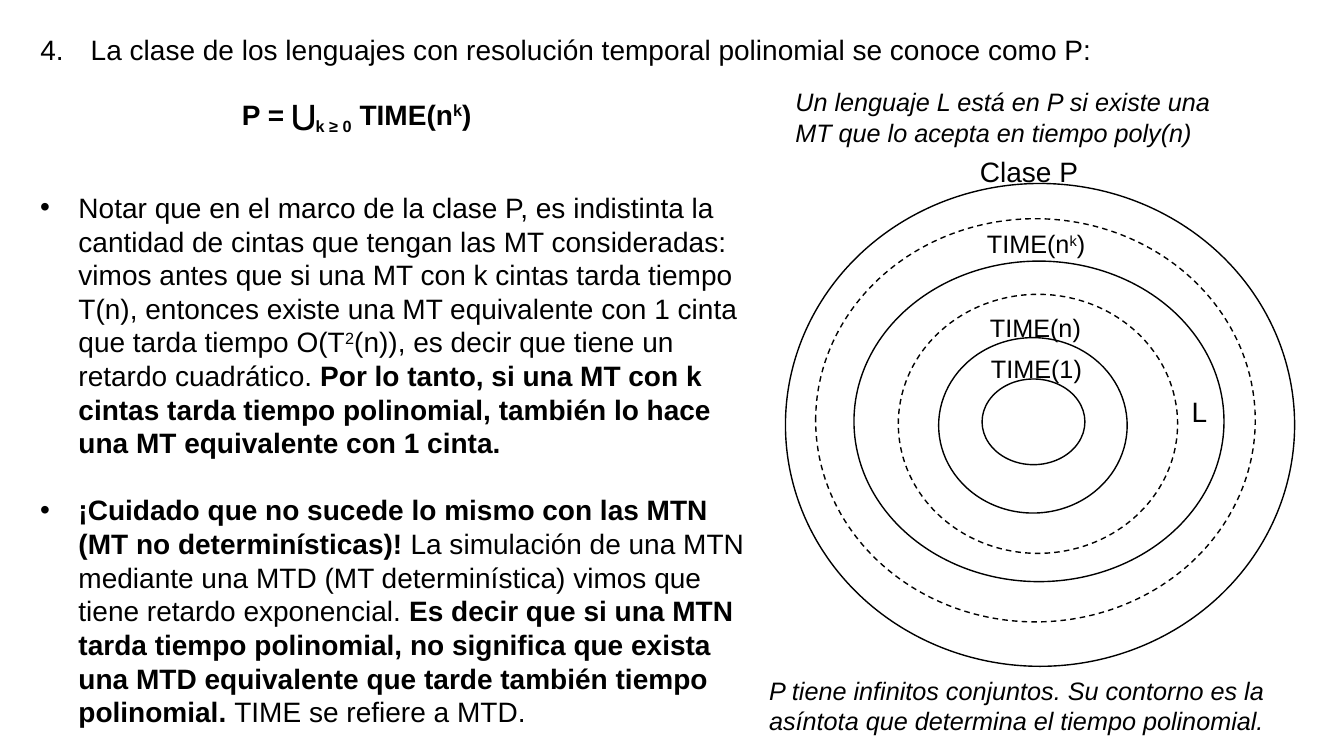
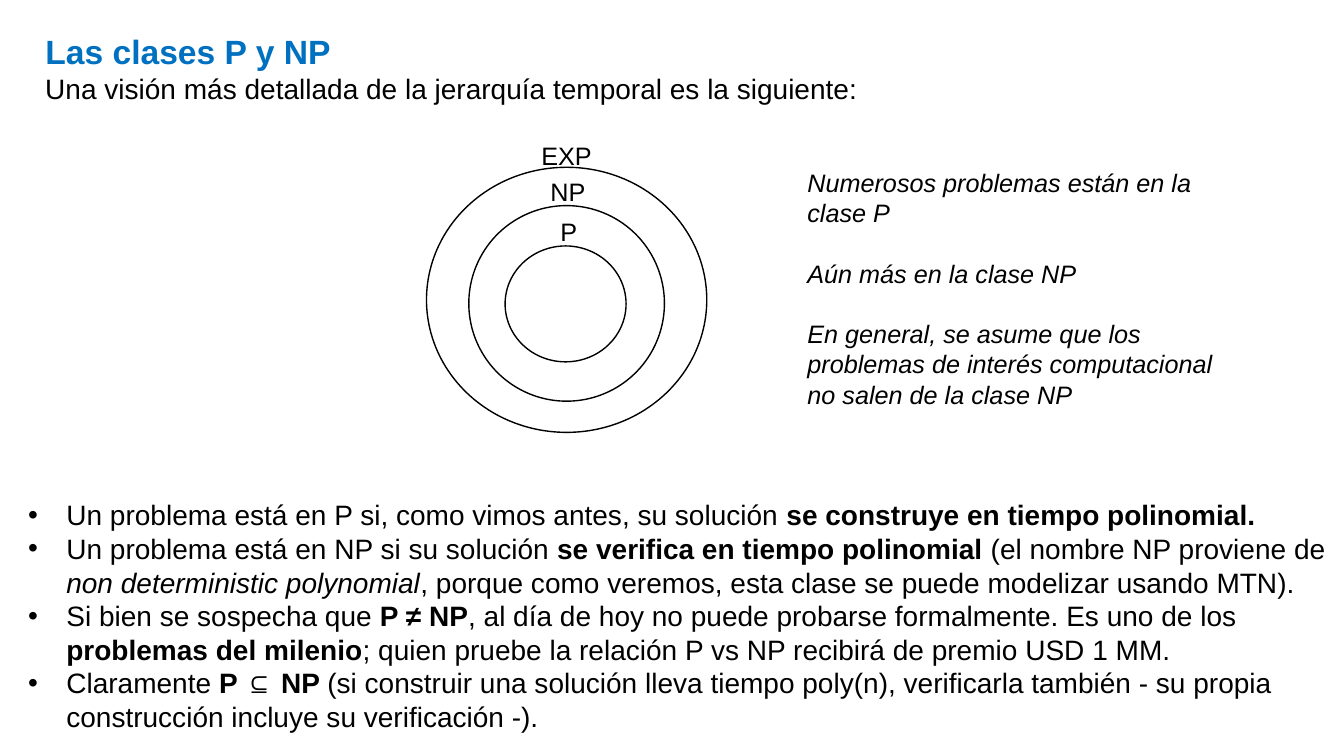
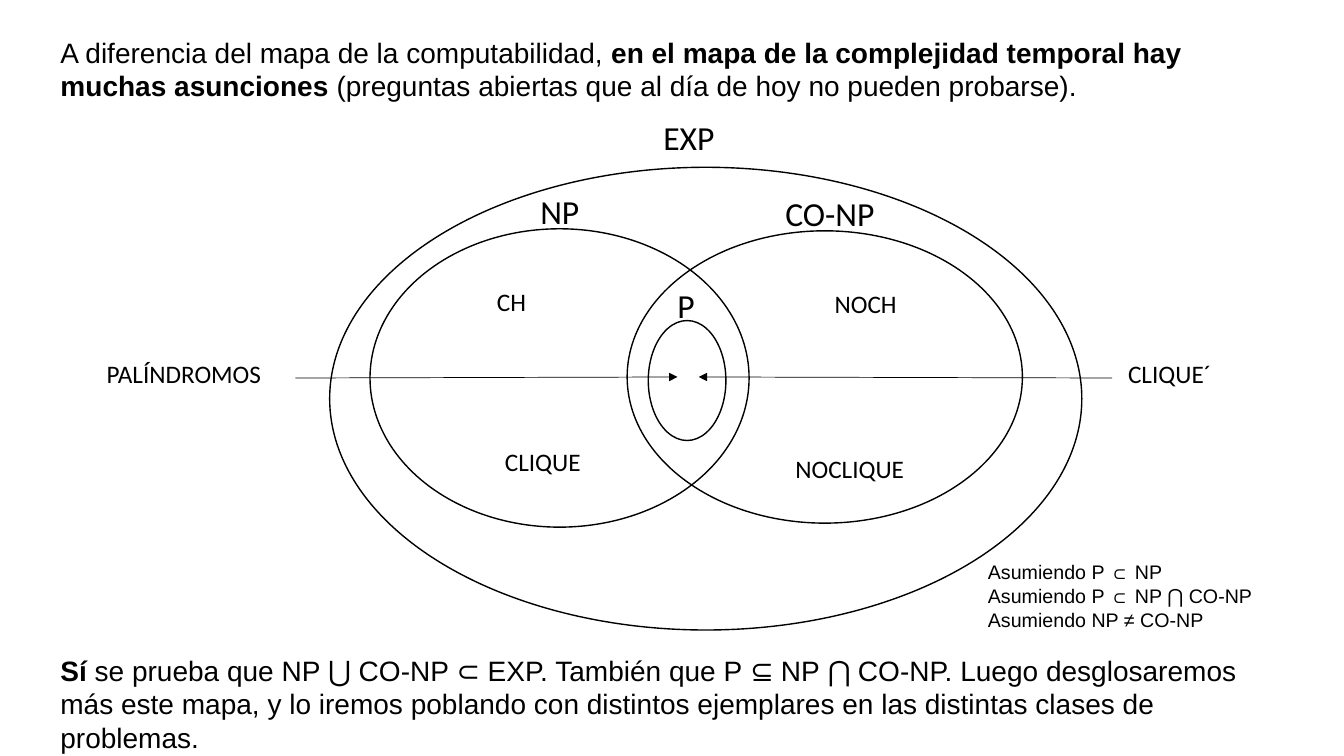
from dataclasses import dataclass, field
from typing import Any, NamedTuple

from lxml import etree
from pptx import Presentation
from pptx.dml.color import RGBColor
from pptx.enum.dml import MSO_LINE
from pptx.enum.shapes import MSO_CONNECTOR, MSO_SHAPE
from pptx.enum.text import MSO_ANCHOR, MSO_AUTO_SIZE, PP_ALIGN
from pptx.oxml.ns import qn
from pptx.util import Inches, Pt

RING = MSO_SHAPE.FLOWCHART_CONNECTOR
STRAIGHT = MSO_CONNECTOR.STRAIGHT
DASH = MSO_LINE.DASH
TOP = MSO_ANCHOR.TOP
LEFT = PP_ALIGN.LEFT
FIXED = MSO_AUTO_SIZE.NONE
GROW = MSO_AUTO_SIZE.SHAPE_TO_FIT_TEXT
TITLE_ONLY = 5


@dataclass(frozen=True)
class Theme:
    ink: RGBColor = RGBColor(0, 0, 0)
    blue: RGBColor = RGBColor(0x00, 0x70, 0xC0)
    sans: str = "Arial"
    label: str = "Calibri"
    head: int = 24
    body: int = 20
    note: int = 18
    small: int = 14
    leading: float = 1.2


THEME = Theme()


class Box(NamedTuple):
    left: float
    top: float
    width: float
    height: float


class Run(NamedTuple):
    text: str
    form: dict[str, bool] = {}
    base: int = 0


class Mark(NamedTuple):
    tag: str
    attrs: dict[str, str]
    indent: float


Para = list[Run]


@dataclass(frozen=True)
class Text:
    box: Box
    paras: list[Para]
    size: int = THEME.body
    font: str = THEME.sans
    color: RGBColor = THEME.ink
    form: dict[str, bool] = field(default_factory=dict)
    mark: Mark | None = None
    gap: float = 0
    wrap: bool = True


@dataclass(frozen=True)
class Ring:
    box: Box
    dash: bool = False


class Arrow(NamedTuple):
    start: tuple[float, float]
    end: tuple[float, float]


@dataclass(frozen=True)
class Page:
    title: Text
    texts: list[Text]
    rings: list[Ring]
    arrows: list[Arrow] = field(default_factory=list)


BULLET = Mark("a:buChar", {"char": "•"}, 0.38)
FOURTH = Mark("a:buAutoNum", {"type": "arabicPeriod", "startAt": "4"}, 0.5)
BOLD = {"bold": True}
SLANT = {"italic": True}


def apply(target: Any, values: dict[str, Any]) -> None:
    for name, value in values.items():
        setattr(target, name, value)


def place(shape: Any, box: Box) -> None:
    apply(shape, {name: Inches(size) for name, size in box._asdict().items()})


def add_mark(para: Any, mark: Mark) -> None:
    props = para._p.get_or_add_pPr()
    props.set("marL", str(Inches(mark.indent)))
    props.set("indent", str(-Inches(mark.indent)))
    etree.SubElement(props, qn("a:buFont")).set("typeface", THEME.sans)
    node = etree.SubElement(props, qn(mark.tag))
    for name, value in mark.attrs.items():
        node.set(name, value)


def write(shape: Any, text: Text, fit: Any) -> None:
    place(shape, text.box)
    frame = shape.text_frame
    apply(frame, {
        "word_wrap": text.wrap, "auto_size": fit, "vertical_anchor": TOP,
    })
    for index, runs in enumerate(text.paras):
        para = frame.add_paragraph() if index else frame.paragraphs[0]
        para.alignment = LEFT
        if text.font == THEME.sans:
            para.line_spacing = Pt(text.size * THEME.leading)
        para.space_before = Pt(text.gap if index else 0)
        if text.mark:
            add_mark(para, text.mark)
        for part in runs:
            run = para.add_run()
            run.text = part.text
            look = {"name": text.font, "size": Pt(text.size), "bold": False}
            apply(run.font, look | text.form | part.form)
            run.font.color.rgb = text.color
            if part.base:
                run._r.get_or_add_rPr().set("baseline", str(part.base * 1000))


def add_text(slide: Any, text: Text) -> None:
    shape = slide.shapes.add_textbox(*map(Inches, text.box))
    write(shape, text, GROW)


def add_ring(slide: Any, ring: Ring) -> None:
    shape = slide.shapes.add_shape(RING, *map(Inches, ring.box))
    shape.shadow.inherit = False
    shape.fill.background()
    shape.line.color.rgb = THEME.ink
    shape.line.width = Pt(1)
    if ring.dash:
        shape.line.dash_style = DASH


def add_arrow(slide: Any, arrow: Arrow) -> None:
    ends = map(Inches, arrow.start + arrow.end)
    link = slide.shapes.add_connector(STRAIGHT, *ends)
    link.line.color.rgb = THEME.ink
    link.line.width = Pt(0.5)
    tip = etree.SubElement(link.line._get_or_add_ln(), qn("a:tailEnd"))
    tip.set("type", "triangle")
    etree.SubElement(link._element.spPr, qn("a:effectLst"))


def add_page(deck: Any, page: Page) -> None:
    slide = deck.slides.add_slide(deck.slide_layouts[TITLE_ONLY])
    write(slide.shapes.title, page.title, FIXED)
    for text in page.texts:
        add_text(slide, text)
    for ring in page.rings:
        add_ring(slide, ring)
    for arrow in page.arrows:
        add_arrow(slide, arrow)


def label(
    box: Box, *runs: Run, size: int = THEME.note, font: str = THEME.sans
) -> Text:
    return Text(box, [list(runs)], size, font, wrap=False)


def tag(box: Box, word: str, size: int = THEME.note) -> Text:
    return label(box, Run(word), size=size, font=THEME.label)


def note(box: Box, *lines: str, gap: float = 0) -> Text:
    paras = [[Run(line)] for line in lines]
    return Text(box, paras, THEME.note, form=SLANT, gap=gap)


CLASS_P = Page(
    Text(
        Box(0.3, 0.27, 12.54, 0.44),
        [[Run("La clase de los lenguajes con resolución temporal polinomial "
              "se conoce como P:")]],
        mark=FOURTH,
    ),
    [
        Text(
            Box(2.3, 0.96, 4, 0.44),
            [[Run("P = ⋃"), Run("k ≥ 0", base=-25), Run(" TIME(n"),
              Run("k", base=30), Run(")")]],
            form=BOLD,
        ),
        Text(
            Box(0.3, 1.84, 7.23, 5.49),
            [
                [
                    Run("Notar que en el marco de la clase P, es indistinta la "
                        "cantidad de cintas que tengan las MT consideradas: "
                        "vimos antes que si una MT con k cintas tarda tiempo "
                        "T(n), entonces existe una MT equivalente con 1 cinta "
                        "que tarda tiempo O(T"),
                    Run("2", base=30),
                    Run("(n)), es decir que tiene un retardo cuadrático. "),
                    Run("Por lo tanto, si una MT con k cintas tarda tiempo "
                        "polinomial, también lo hace una MT equivalente con "
                        "1 cinta.", BOLD),
                ],
                [
                    Run("¡Cuidado que no sucede lo mismo con las MTN (MT no "
                        "determinísticas)! ", BOLD),
                    Run("La simulación de una MTN mediante una MTD (MT "
                        "determinística) vimos que tiene retardo "
                        "exponencial. "),
                    Run("Es decir que si una MTN tarda tiempo polinomial, no "
                        "significa que exista una MTD equivalente que tarde "
                        "también tiempo polinomial. ", BOLD),
                    Run("TIME se refiere a MTD."),
                ],
            ],
            mark=BULLET,
            gap=THEME.body * THEME.leading,
        ),
        label(Box(9.73, 3.46, 1.11, 0.4), Run("TIME(1)")),
        label(Box(9.72, 3.05, 1.11, 0.4), Run("TIME(n)")),
        label(Box(9.69, 2.22, 1.2, 0.4),
              Run("TIME(n"), Run("k", base=30), Run(")")),
        label(Box(9.62, 1.48, 1.22, 0.44), Run("Clase P"), size=THEME.body),
        label(Box(11.72, 3.86, 0.36, 0.44), Run("L"), size=THEME.body),
        note(Box(7.53, 6.65, 5.22, 0.71),
             "P tiene infinitos conjuntos. Su contorno es la asíntota que "
             "determina el tiempo polinomial."),
        note(Box(7.79, 0.81, 4.36, 0.71),
             "Un lenguaje L está en P si existe una",
             "MT que lo acepta en tiempo poly(n)"),
    ],
    [
        Ring(Box(7.79, 1.82, 5.05, 4.79)),
        Ring(Box(8.09, 2.17, 4.36, 4), dash=True),
        Ring(Box(8.47, 2.59, 3.67, 3.18)),
        Ring(Box(8.91, 2.92, 2.77, 2.57), dash=True),
        Ring(Box(9.31, 3.35, 1.87, 1.74)),
        Ring(Box(9.74, 3.76, 1.02, 0.85)),
    ],
)

P_AND_NP = Page(
    Text(Box(0.35, 0.26, 12.79, 0.5), [[Run("Las clases P y NP")]],
         THEME.head, color=THEME.blue, form=BOLD),
    [
        Text(Box(0.35, 0.66, 12.79, 0.44),
             [[Run("Una visión más detallada de la jerarquía temporal es la "
                   "siguiente:")]]),
        label(Box(5.27, 1.34, 0.71, 0.4), Run("EXP")),
        label(Box(5.36, 1.7, 0.55, 0.4), Run("NP")),
        label(Box(5.46, 2.1, 0.37, 0.4), Run("P")),
        note(
            Box(7.91, 1.61, 4.53, 2.52),
            "Numerosos problemas están en la clase P",
            "Aún más en la clase NP",
            "En general, se asume que los problemas de interés computacional "
            "no salen de la clase NP",
            gap=THEME.note * THEME.leading,
        ),
        Text(
            Box(0.18, 4.89, 13.16, 2.46),
            [
                [
                    Run("Un problema está en P si, como vimos antes, su "
                        "solución "),
                    Run("se construye en tiempo polinomial.", BOLD),
                ],
                [
                    Run("Un problema está en NP si su solución "),
                    Run("se verifica en tiempo polinomial ", BOLD),
                    Run("(el nombre NP proviene de "),
                    Run("non deterministic polynomial", SLANT),
                    Run(", porque como veremos, esta clase se puede modelizar "
                        "usando MTN)."),
                ],
                [
                    Run("Si bien se sospecha que "),
                    Run("P ≠ NP", BOLD),
                    Run(", al día de hoy no puede probarse formalmente. Es uno "
                        "de los "),
                    Run("problemas del milenio", BOLD),
                    Run("; quien pruebe la relación P vs NP recibirá de premio "
                        "USD 1 MM."),
                ],
                [
                    Run("Claramente "),
                    Run("P ⊆ NP ", BOLD),
                    Run("(si construir una solución lleva tiempo poly(n), "
                        "verificarla también - su propia construcción incluye "
                        "su verificación -)."),
                ],
            ],
            mark=BULLET,
        ),
    ],
    [
        Ring(Box(4.23, 1.66, 2.78, 2.63)),
        Ring(Box(4.65, 2.04, 1.94, 1.94)),
        Ring(Box(5.01, 2.44, 1.2, 1.15)),
    ],
)

TIME_MAP = Page(
    Text(
        Box(0.5, 0.3, 12.21, 0.77),
        [[
            Run("A diferencia del mapa de la computabilidad, "),
            Run("en el mapa de la complejidad temporal hay muchas "
                "asunciones ", BOLD),
            Run("(preguntas abiertas que al día de hoy no pueden probarse)."),
        ]],
    ),
    [
        tag(Box(6.48, 1.11, 0.72, 0.5), "EXP", THEME.head),
        tag(Box(5.26, 1.84, 0.59, 0.5), "NP", THEME.head),
        tag(Box(7.69, 1.86, 1.09, 0.5), "CO-NP", THEME.head),
        tag(Box(6.62, 2.78, 0.38, 0.5), "P", THEME.head),
        tag(Box(4.83, 2.79, 0.49, 0.4), "CH"),
        tag(Box(4.91, 4.38, 0.96, 0.4), "CLIQUE"),
        tag(Box(11.09, 3.51, 1.03, 0.4), "CLIQUE´"),
        tag(Box(8.18, 2.81, 0.83, 0.4), "NOCH"),
        tag(Box(7.79, 4.45, 1.29, 0.4), "NOCLIQUE"),
        tag(Box(0.96, 3.51, 1.75, 0.4), "PALÍNDROMOS"),
        Text(
            Box(0.5, 6.43, 12.42, 0.77),
            [[
                Run("Sí ", BOLD),
                Run("se prueba que NP ⋃ CO-NP ⊂ EXP. También que P ⊆ NP ⋂ "
                    "CO-NP. Luego desglosaremos más este mapa, y lo iremos "
                    "poblando con distintos ejemplares en las distintas clases "
                    "de problemas."),
            ]],
        ),
        Text(
            Box(9.7, 5.51, 2.83, 0.81),
            [
                [Run("Asumiendo P ⊂ NP")],
                [Run("Asumiendo P ⊂ NP ⋂ CO-NP")],
                [Run("Asumiendo NP ≠ CO-NP")],
            ],
            THEME.small,
            wrap=False,
        ),
    ],
    [
        Ring(Box(3.27, 1.66, 7.46, 4.59)),
        Ring(Box(3.67, 2.27, 3.76, 2.96)),
        Ring(Box(6.22, 2.29, 3.92, 2.9)),
        Ring(Box(6.43, 3.18, 0.77, 1.19)),
    ],
    [
        Arrow((2.93, 3.75), (6.72, 3.74)),
        Arrow((11.03, 3.75), (6.93, 3.74)),
    ],
)


def main() -> None:
    deck = Presentation()
    deck.slide_width = Inches(13.33)
    deck.slide_height = Inches(7.5)
    for page in (CLASS_P, P_AND_NP, TIME_MAP):
        add_page(deck, page)
    deck.save("out.pptx")


if __name__ == "__main__":
    main()
